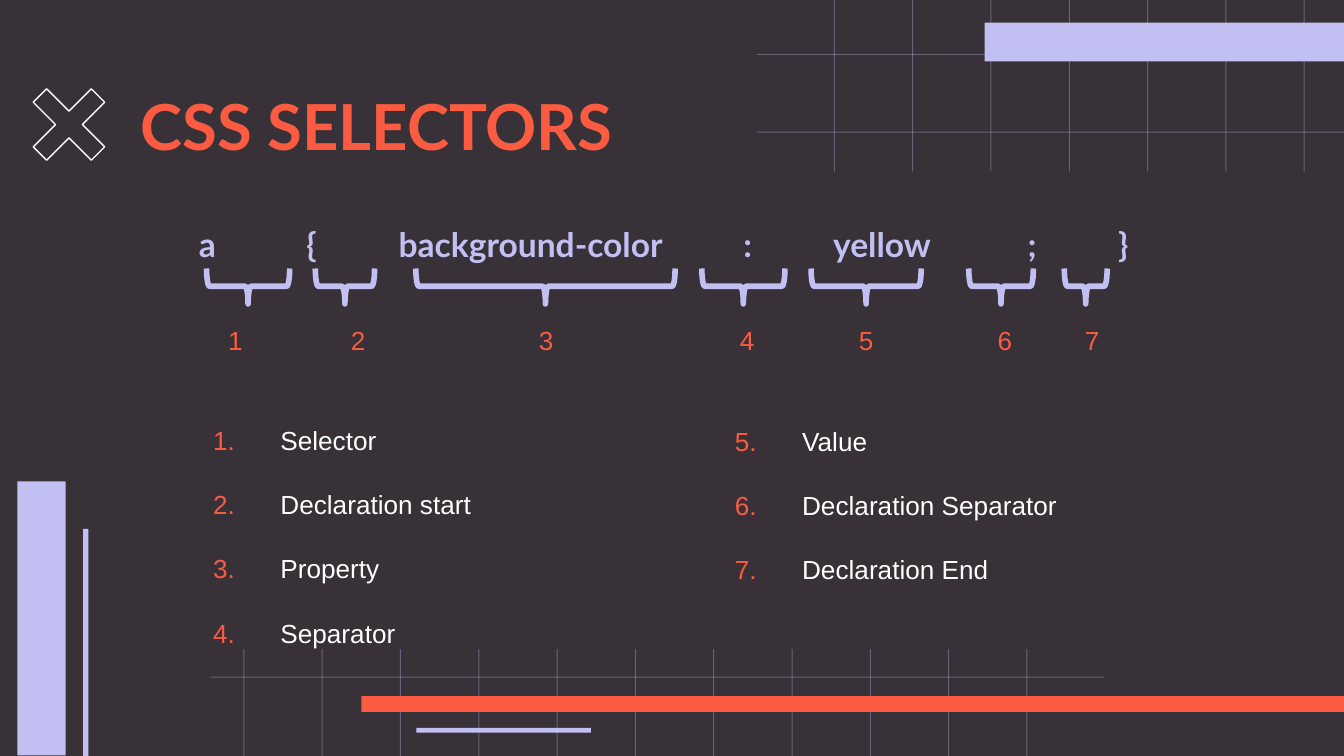
"""Build the slide that names the seven parts of a CSS rule."""
from dataclasses import dataclass
from typing import Sequence

from lxml.etree import SubElement
from pptx import Presentation
from pptx.dml.color import RGBColor
from pptx.enum.shapes import MSO_SHAPE as Preset
from pptx.enum.text import MSO_ANCHOR as Anchor
from pptx.oxml.ns import qn
from pptx.shapes.autoshape import Shape
from pptx.slide import Slide
from pptx.util import Cm, Pt

DARK = RGBColor(0x38, 0x31, 0x38)
LILAC = RGBColor(0xC2, 0xC0, 0xF2)
ORANGE = RGBColor(0xFA, 0x5B, 0x41)
WHITE = RGBColor(0xFF, 0xFF, 0xFF)
INSET = 0.25
GRID_PITCH = 1.48
GRID_STROKE = 0.02
BRACE_Y = 5.41
BRACE_DEPTH = 0.67


@dataclass(frozen=True)
class Box:
    left: float
    top: float
    width: float
    height: float


@dataclass(frozen=True)
class Bar:
    box: Box
    color: RGBColor


@dataclass(frozen=True)
class Grid:
    columns: Box
    count: int
    row_left: float
    row_width: float
    row_tops: Sequence[float]


@dataclass(frozen=True)
class Part:
    token: str
    token_x: float
    brace_x: float
    brace_span: float
    number_x: float
    meaning: str


@dataclass(frozen=True)
class Style:
    font: str
    size: int
    color: RGBColor
    bold: bool = False


GRIDS = (
    Grid(Box(15.76, -1.12, GRID_STROKE, 4.36), 7, 14.3, 11.79, (1.02, 2.49)),
    Grid(Box(4.6, 12.27, GRID_STROKE, 7.85), 11, 3.99, 16.87, (12.79,)),
)
BARS = (
    Bar(Box(6.83, 13.16, 18.69, 0.3), ORANGE),
    Bar(Box(0.33, 9.1, 0.91, 5.18), LILAC),
    Bar(Box(1.57, 10, 0.1, 6.02), LILAC),
    Bar(Box(7.87, 13.76, 3.3, 0.09), LILAC),
    Bar(Box(18.61, 0.43, 6.93, 0.73), LILAC),
)
PARTS = (
    Part("a", 3.92, 4.69, 1.57, 4.43, "Selector"),
    Part("{", 5.89, 6.52, 1.12, 6.77, "Declaration start"),
    Part("background-color", 10.03, 10.31, 4.9, 10.32, "Property"),
    Part(":", 14.13, 14.05, 1.57, 14.12, "Separator"),
    Part("yellow", 16.67, 16.37, 2.08, 16.37, "Value"),
    Part(";", 19.51, 18.92, 1.22, 18.99, "Declaration Separator"),
    Part("}", 21.23, 20.52, 0.81, 20.64, "Declaration End"),
)
HEADING = Style("Lato", 34, ORANGE, True)
CODE = Style("Lato", 18, LILAC, True)
NUMBER = Style("Arial", 14, ORANGE)
MEANING = Style("Arial", 14, WHITE)


def add_preset(slide: Slide, preset: Preset, box: Box) -> Shape:
    shape = slide.shapes.add_shape(
        preset, Cm(box.left), Cm(box.top), Cm(box.width), Cm(box.height))
    shape.shadow.inherit = False
    return shape


def add_bar(slide: Slide, bar: Bar) -> Shape:
    shape = add_preset(slide, Preset.RECTANGLE, bar.box)
    shape.fill.solid()
    shape.fill.fore_color.rgb = bar.color
    shape.line.fill.background()
    return shape


def add_outline(slide: Slide, preset: Preset, box: Box, color: RGBColor, weight: float) -> Shape:
    shape = add_preset(slide, preset, box)
    shape.fill.background()
    shape.line.color.rgb = color
    shape.line.width = Pt(weight)
    return shape


def add_grid(slide: Slide, grid: Grid) -> None:
    first = grid.columns
    strokes = [Box(first.left + i * GRID_PITCH, first.top, first.width, first.height)
               for i in range(grid.count)]
    strokes += [Box(grid.row_left, top, grid.row_width, GRID_STROKE) for top in grid.row_tops]
    for stroke in strokes:
        shape = add_bar(slide, Bar(stroke, LILAC))
        color = shape.fill._xPr.find(qn("a:solidFill")).find(qn("a:srgbClr"))
        SubElement(color, qn("a:alpha"), val="35000")


def add_brace(slide: Slide, part: Part) -> None:
    box = Box(part.brace_x - BRACE_DEPTH / 2, BRACE_Y - part.brace_span / 2,
              BRACE_DEPTH, part.brace_span)
    add_outline(slide, Preset.LEFT_BRACE, box, LILAC, 3).rotation = 270


def add_text(slide: Slide, box: Box, lines: Sequence[str], style: Style,
             anchor: Anchor = Anchor.MIDDLE, top_inset: float = INSET):
    frame = slide.shapes.add_textbox(
        Cm(box.left), Cm(box.top), Cm(box.width), Cm(box.height)).text_frame
    frame.word_wrap = True
    frame.vertical_anchor = anchor
    frame.margin_left = frame.margin_right = frame.margin_bottom = Cm(INSET)
    frame.margin_top = Cm(top_inset)
    frame.text = "\n".join(lines)
    for paragraph in frame.paragraphs:
        font = paragraph.font
        font.name, font.size, font.bold = style.font, Pt(style.size), style.bold
        font.color.rgb = style.color
    return frame


def add_tabbed_line(slide: Slide, box: Box, words: Sequence[str],
                    centers: Sequence[float], style: Style) -> None:
    line = "".join(f"\t{word}" for word in words)
    properties = add_text(slide, box, [line], style).paragraphs[0]._p.get_or_add_pPr()
    stops = SubElement(properties, qn("a:tabLst"))
    for center in centers:
        SubElement(stops, qn("a:tab"), pos=str(Cm(center - box.left - INSET)), algn="ctr")
    properties.insert(0, stops)


def add_meanings(slide: Slide, box: Box, parts: Sequence[Part], start: int,
                 top_inset: float) -> None:
    frame = add_text(slide, box, [part.meaning for part in parts], MEANING,
                     Anchor.TOP, top_inset)
    for paragraph in frame.paragraphs:
        properties = paragraph._p.get_or_add_pPr()
        properties.set("marL", str(Cm(1.37)))
        properties.set("indent", str(Cm(-1.27)))
        bullet_color = SubElement(properties, qn("a:buClr"))
        SubElement(bullet_color, qn("a:srgbClr"), val=str(ORANGE))
        numbering = SubElement(properties, qn("a:buAutoNum"),
                               type="arabicPeriod", startAt=str(start))
        properties.insert(0, bullet_color)
        properties.insert(1, numbering)
        paragraph.space_after = Pt(17.6)


def main() -> None:
    deck = Presentation()
    deck.slide_width, deck.slide_height = Cm(25.4), Cm(14.29)
    slide = deck.slides.add_slide(deck.slide_layouts[6])
    slide.background.fill.solid()
    slide.background.fill.fore_color.rgb = DARK
    for grid in GRIDS:
        add_grid(slide, grid)
    for bar in BARS:
        add_bar(slide, bar)
    cross = add_outline(slide, Preset.MATH_MULTIPLY, Box(0.25, 1.3, 2.11, 2.11), WHITE, 0.75)
    cross.adjustments[0] = 0.17
    add_text(slide, Box(2.41, 1.5, 20.52, 1.75), ["CSS SELECTORS"], HEADING)
    add_tabbed_line(slide, Box(0, 3.94, 25.02, 1.35), [part.token for part in PARTS],
                    [part.token_x for part in PARTS], CODE)
    for part in PARTS:
        add_brace(slide, part)
    add_tabbed_line(slide, Box(4.06, 5.99, 17.3, 0.86),
                    [str(i) for i in range(1, len(PARTS) + 1)],
                    [part.number_x for part in PARTS], NUMBER)
    add_meanings(slide, Box(3.68, 7.87, 6.35, 4.93), PARTS[:4], 1, 0.15)
    add_meanings(slide, Box(13.54, 7.6, 7.8, 4.93), PARTS[4:], 5, 0.44)
    deck.save("out.pptx")


if __name__ == "__main__":
    main()
